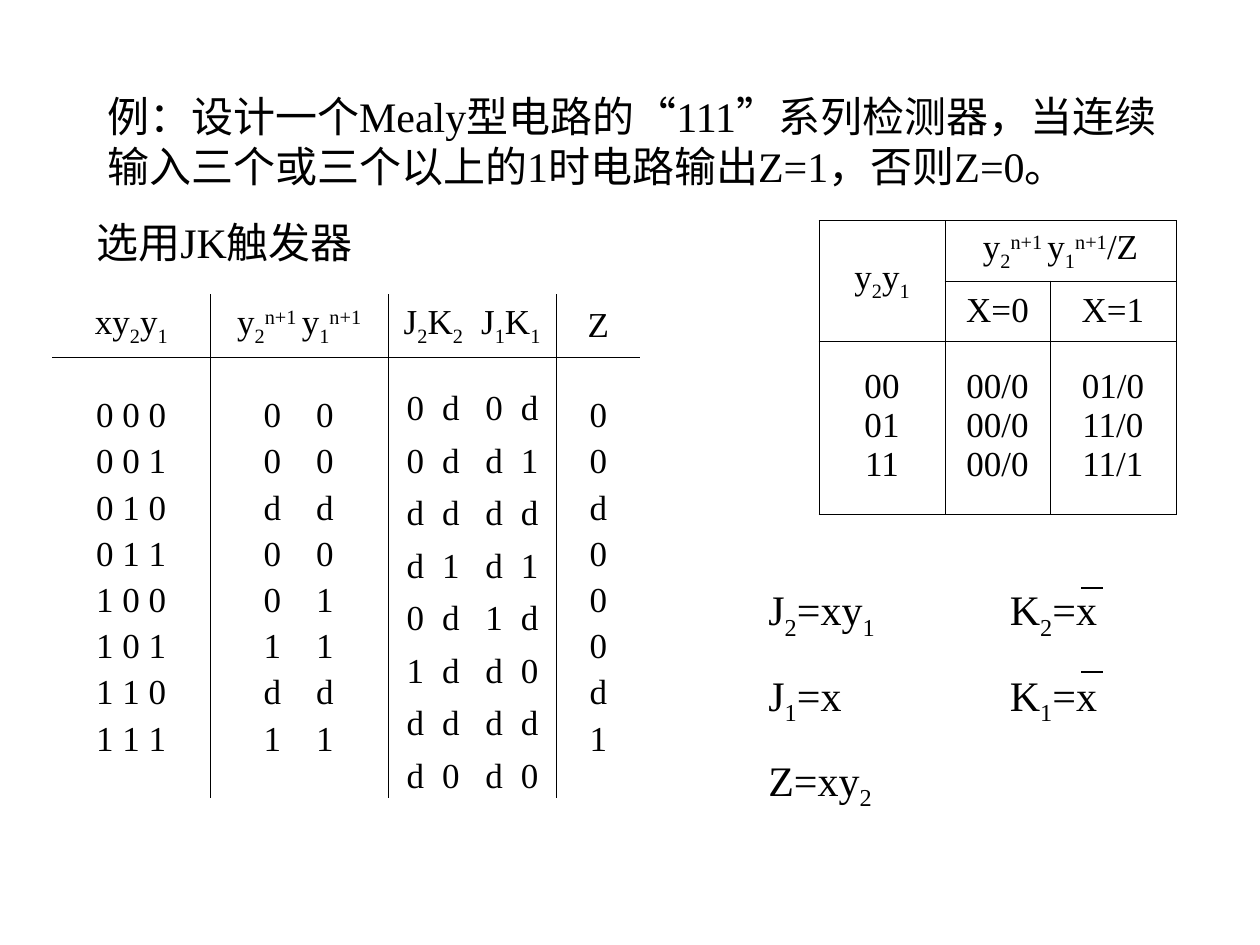
from lxml import etree
from pptx import Presentation
from pptx.dml.color import RGBColor
from pptx.enum.shapes import MSO_CONNECTOR
from pptx.enum.text import MSO_ANCHOR, MSO_AUTO_SIZE, PP_ALIGN
from pptx.oxml.ns import qn
from pptx.util import Pt

LEFT, CENTER = PP_ALIGN.LEFT, PP_ALIGN.CENTER
TOP, MIDDLE = MSO_ANCHOR.TOP, MSO_ANCHOR.MIDDLE
NO_FIT = MSO_AUTO_SIZE.NONE
STRAIGHT = MSO_CONNECTOR.STRAIGHT
PX = 9525
SHIFT = {"_": "-25000", "^": "30000"}


class Theme:
    font = "Times New Roman"
    ink = RGBColor(0, 0, 0)
    large = Pt(24)
    small = Pt(20)
    rule = Pt(0.45)
    bar = Pt(0.75)


def write(frame, lines, size, align=LEFT, gap=0, tabs=(), stop="ctr", lead=None):
    """Fill a frame; "|" parts runs, and a leading _ or ^ lowers or raises one."""
    frame.word_wrap = True
    for i, line in enumerate(lines):
        para = frame.paragraphs[0] if i == 0 else frame.add_paragraph()
        para.alignment = align
        para.space_before = Pt(gap if i else 0)
        if lead:
            para.line_spacing = lead
        if tabs:
            stops = etree.SubElement(para._p.get_or_add_pPr(), qn("a:tabLst"))
            for pos in tabs:
                etree.SubElement(stops, qn("a:tab"), pos=str(pos * PX), algn=stop)
        for part in line.split("|"):
            run = para.add_run()
            run.text = part.lstrip("_^")
            run.font.name = Theme.font
            run.font.size = size
            run.font.color.rgb = Theme.ink
            if part[0] in SHIFT:
                run._r.get_or_add_rPr().set("baseline", SHIFT[part[0]])


def grid(box, cols, rows, framed):
    """Add a plain table with inner rules, and outer ones if framed."""
    table = deck_shapes.add_table(len(rows), len(cols), *[n * PX for n in box]).table
    table.first_row = table.horz_banding = False
    for col, wide in zip(table.columns, cols):
        col.width = wide * PX
    for row, high in zip(table.rows, rows):
        row.height = high * PX
    for r in range(len(rows)):
        for c in range(len(cols)):
            cell = table.cell(r, c)
            cell.vertical_anchor = MIDDLE
            inner = {"L": c > 0, "R": c < len(cols) - 1,
                     "T": r > 0, "B": r < len(rows) - 1}
            for side, shown in inner.items():
                line = etree.SubElement(cell._tc.get_or_add_tcPr(),
                                        qn("a:ln" + side), w=str(int(Theme.rule)))
                if framed or shown:
                    fill = etree.SubElement(line, qn("a:solidFill"))
                    etree.SubElement(fill, qn("a:srgbClr"), val=str(Theme.ink))
                else:
                    etree.SubElement(line, qn("a:noFill"))
            cell.fill.background()
    return table


deck = Presentation()
deck.slide_width, deck.slide_height = 960 * PX, 720 * PX
slide = deck.slides.add_slide(deck.slide_layouts[5])
deck_shapes = slide.shapes

# Task
title = deck_shapes.title
title.left, title.top, title.width, title.height = [n * PX for n in (72, 64, 848, 86)]
title.text_frame.auto_size = NO_FIT
title.text_frame.vertical_anchor = TOP
write(title.text_frame, ["例：设计一个Mealy型电路的“111”系列检测器，当连续输入三个或三个以上的1时"
                         "电路输出Z=1，否则Z=0。"], Theme.large)

# State table
state = grid((624, 168, 272, 224), (96, 80, 96), (46, 46, 132), True)
state.cell(0, 0).merge(state.cell(1, 0))
state.cell(0, 1).merge(state.cell(0, 2))
heads = {(0, 0): "y|_2|y|_1", (0, 1): "y|_2|^n+1 |y|_1|^n+1|/Z",
         (1, 1): "X=0", (1, 2): "X=1"}
for place, text in heads.items():
    write(state.cell(*place).text_frame, [text], Theme.small, CENTER)
for c, body in enumerate(("00 01 11", "00/0 00/0 00/0", "01/0 11/0 11/1")):
    write(state.cell(2, c).text_frame, body.split(), Theme.small, CENTER,
          gap=4.5, lead=0.8)

# Choice of flip-flop
choice = deck_shapes.add_textbox(*[n * PX for n in (64, 160, 392, 48)])
write(choice.text_frame, ["选用JK触发器"], Theme.large)

# Excitation table
drive = grid((40, 224, 448, 384), (120, 136, 128, 64), (48, 336), False)
for c, text in ((0, "xy|_2|y|_1"), (1, "y|_2|^n+1 |y|_1|^n+1"), (3, "Z")):
    write(drive.cell(0, c).text_frame, [text], Theme.small, CENTER)
write(drive.cell(0, 2).text_frame, ["\tJ|_2|K|_2|\tJ|_1|K|_1"], Theme.small,
      tabs=(2, 61), stop="l")
inputs = [" ".join(f"{n:03b}") for n in range(8)]
nexts = ["\t" + "\t".join(pair) for pair in "00 00 dd 00 01 11 dd 11".split()]
write(drive.cell(1, 0).text_frame, inputs, Theme.small, CENTER, gap=4.2)
write(drive.cell(1, 1).text_frame, nexts, Theme.small, gap=4.2, tabs=(38, 78))
write(drive.cell(1, 3).text_frame, "00d000d1", Theme.small, CENTER, gap=4.2)

jk = deck_shapes.add_textbox(*[n * PX for n in (296, 289, 128, 313)])
codes = "0d0d 0dd1 dddd d1d1 0d1d 1dd0 dddd d0d0".split()
write(jk.text_frame, ["\t" + "\t".join(code) for code in codes], Theme.small,
      gap=6, tabs=(11, 38, 71, 98))

# Equations, with a bar over each negated x
group = deck_shapes.add_group_shape()
sums = group.shapes.add_textbox(*[n * PX for n in (576, 440, 336, 180)])
write(sums.text_frame, ["J|_2|=xy|_1|\tK|_2|=x", "J|_1|=x\tK|_1|=x", "Z=xy|_2"],
      Theme.large, gap=16, tabs=(184,), stop="l")
for y in (448, 512):
    bar = group.shapes.add_connector(STRAIGHT, *[n * PX for n in (824, y, 840, y)])
    bar.line.color.rgb = Theme.ink
    bar.line.width = Theme.bar
    etree.SubElement(bar._element.spPr, qn("a:effectLst"))

deck.save("out.pptx")
